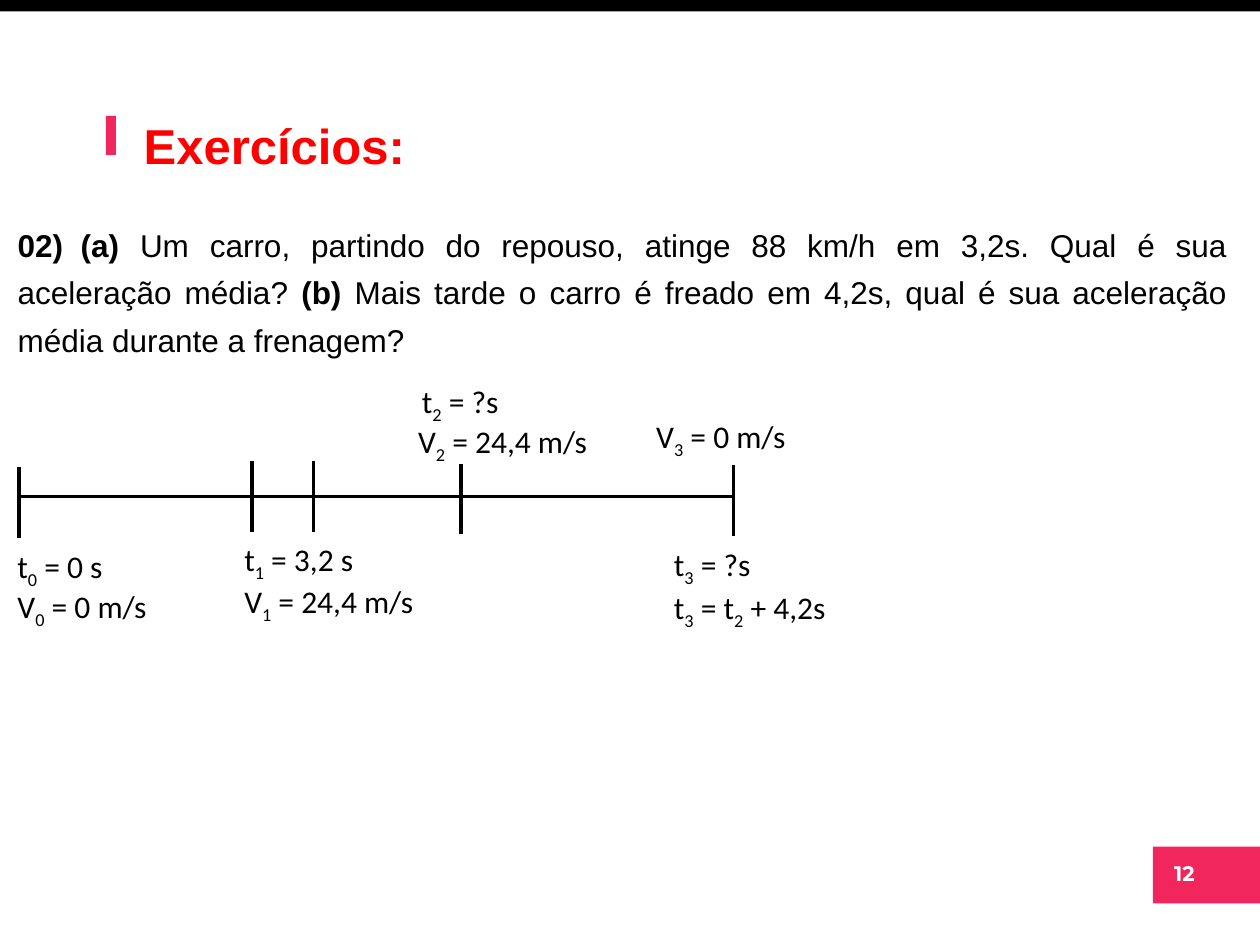
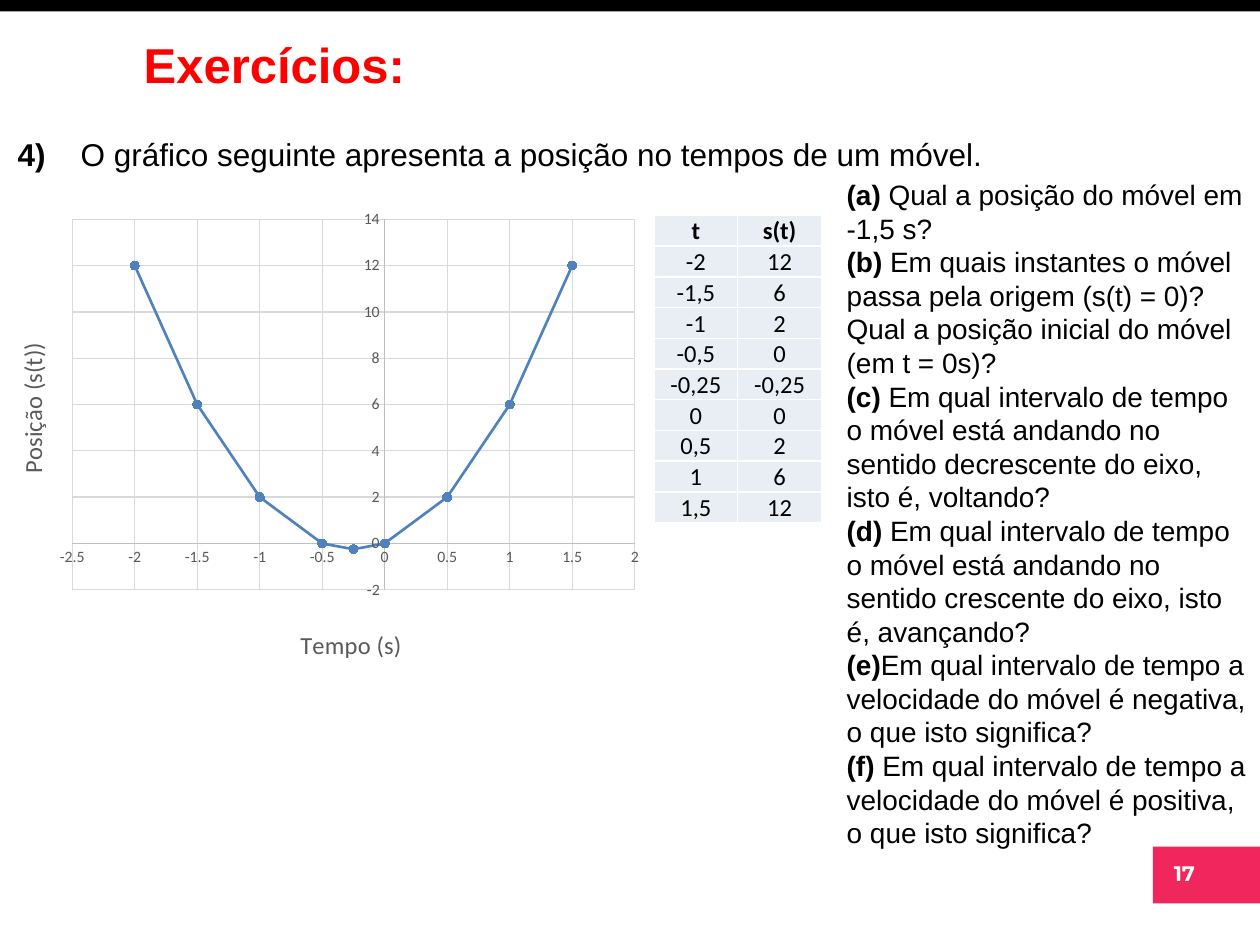
from lxml import etree
from pptx import Presentation
from pptx.chart.data import XyChartData
from pptx.dml.color import RGBColor
from pptx.enum.chart import XL_CHART_TYPE, XL_MARKER_STYLE, XL_TICK_MARK
from pptx.enum.shapes import MSO_CONNECTOR, MSO_SHAPE
from pptx.enum.text import MSO_ANCHOR, MSO_AUTO_SIZE, PP_ALIGN
from pptx.oxml.ns import qn
from pptx.util import Inches, Pt

SCATTER = XL_CHART_TYPE.XY_SCATTER_SMOOTH
CIRCLE = XL_MARKER_STYLE.CIRCLE
NO_TICK = XL_TICK_MARK.NONE
STRAIGHT = MSO_CONNECTOR.STRAIGHT
RECTANGLE = MSO_SHAPE.RECTANGLE
TOP, BOTTOM = MSO_ANCHOR.TOP, MSO_ANCHOR.BOTTOM
NO_AUTOFIT = MSO_AUTO_SIZE.NONE
LEFT, CENTER, JUSTIFY = PP_ALIGN.LEFT, PP_ALIGN.CENTER, PP_ALIGN.JUSTIFY

COLORS = {
    "black": "000000", "white": "FFFFFF", "accent": "F0265D", "title": "FF0000",
    "curve": "4F81BD", "cell": "E9EDF4", "axis": "BFBFBF", "grid": "D9D9D9",
    "axis_text": "595959",
}
TITLE_FONT = BODY_FONT = "Arial"
LABEL_FONT = "Calibri"
NUMBER_FONT = "Montserrat"
LINE_SPACING = 1.25
TITLE_AND_CONTENT, TWO_CONTENT = 1, 3

STATEMENT_2 = [
    ("02)\t(a) ", True),
    ("Um carro, partindo do repouso, atinge 88 km/h em 3,2s. "
     "Qual é sua aceleração média? ", False),
    ("(b) ", True),
    ("Mais tarde o carro é freado em 4,2s, qual é sua aceleração média "
     "durante a frenagem?", False),
]
STATEMENT_4 = [
    ("4)", True),
    ("\tO gráfico seguinte apresenta a posição no tempos de um móvel.", False),
]
QUESTIONS = [
    ("(a)", " Qual a posição do móvel em -1,5 s?"),
    ("(b)", " Em quais instantes o móvel passa pela origem (s(t) = 0)?"),
    ("", "Qual a posição inicial do móvel (em t = 0s)?"),
    ("(c)", " Em qual intervalo de tempo o móvel está andando no sentido "
            "decrescente do eixo, isto é, voltando?"),
    ("(d)", " Em qual intervalo de tempo o móvel está andando no sentido "
            "crescente do eixo, isto é, avançando?"),
    ("(e)", "Em qual intervalo de tempo a velocidade do móvel é negativa, "
            "o que isto significa?"),
    ("(f) ", "Em qual intervalo de tempo a velocidade do móvel é positiva, "
             "o que isto significa?"),
]
# Offset from the start of the time axis, top within the timeline.
INSTANTS = [(0, 0.73), (1.85, 0.68), (2.34, 0.68), (3.51, 0.7), (5.67, 0.71)]
# Left, top, width and lines; an underscore lowers the next character.
INSTANT_LABELS = [
    (-0.11, 1.31, 0.9, ["t_0 = 0 s"]),
    (-0.11, 1.63, 1.29, ["V_0 = 0 m/s"]),
    (1.69, 1.26, 1.09, ["t_1 = 3,2 s"]),
    (1.69, 1.59, 1.61, ["V_1 = 24,4 m/s"]),
    (3.1, 0, 0.83, ["t_2 = ?s"]),
    (3.07, 0.32, 1.61, ["V_2 = 24,4 m/s"]),
    (4.96, 0.28, 1.25, ["V_3 = 0 m/s"]),
    (5.1, 1.3, 1.44, ["t_3 = ?s", "t_3 = t_2 + 4,2s"]),
]
POSITIONS = [(-2, 12), (-1.5, 6), (-1, 2), (-0.5, 0), (-0.25, -0.25),
             (0, 0), (0.5, 2), (1, 6), (1.5, 12)]


def color(name):
    return RGBColor.from_string(COLORS[name])


def place(shape, left, top, width, height):
    shape.left, shape.top = Inches(left), Inches(top)
    shape.width, shape.height = Inches(width), Inches(height)


def set_font(font, name, size, color_name, bold=None):
    font.name, font.size, font.bold = name, Pt(size), bold
    font.color.rgb = color(color_name)


def format_line(line, color_name, width):
    line.color.rgb = color(color_name)
    line.width = Pt(width)


def add_block(slide, left, top, width, height, color_name):
    block = slide.shapes.add_shape(
        RECTANGLE, Inches(left), Inches(top), Inches(width), Inches(height))
    block.shadow.inherit = False
    block.fill.solid()
    block.fill.fore_color.rgb = color(color_name)
    block.line.fill.background()


def add_label(slide, left, top, width, height):
    label = slide.shapes.add_textbox(
        Inches(left), Inches(top), Inches(width), Inches(height))
    label.text_frame.word_wrap = False
    return label.text_frame


def prepare_frame(placeholder):
    frame = placeholder.text_frame
    frame.auto_size = NO_AUTOFIT
    frame.word_wrap = True
    frame.vertical_anchor = TOP
    frame.margin_bottom = 0
    return frame


def fill_body(placeholder, paragraphs, size, alignment, spacing):
    """Write paragraphs, each a list of (text, bold) runs, without bullets."""
    frame = prepare_frame(placeholder)
    for index, runs in enumerate(paragraphs):
        paragraph = frame.add_paragraph() if index else frame.paragraphs[0]
        properties = paragraph._p.get_or_add_pPr()
        properties.set("marL", "0")
        properties.set("indent", "0")
        etree.SubElement(properties, qn("a:buNone"))
        tabs = etree.SubElement(properties, qn("a:tabLst"))
        etree.SubElement(tabs, qn("a:tab"), pos=str(Inches(1)), algn="l")
        paragraph.alignment = alignment
        paragraph.line_spacing = spacing
        paragraph.space_before = Pt(0)
        set_font(paragraph.font, BODY_FONT, size, "black")
        for text, bold in runs:
            run = paragraph.add_run()
            run.text = text
            run.font.bold = bold


def add_exercise(presentation, layout, number, title_top, statement_top,
                 statement, statement_height):
    """Add a slide with the shared band, number, title and statement."""
    slide = presentation.slides.add_slide(presentation.slide_layouts[layout])
    add_block(slide, 0, 0, 10, 0.09, "black")
    add_block(slide, 9.15, 6.72, 0.85, 0.45, "accent")
    paragraph = add_label(slide, 9.16, 6.78, 0.48, 0.3).paragraphs[0]
    paragraph.text = number
    paragraph.alignment = CENTER
    set_font(paragraph.font, NUMBER_FONT, 12, "white", True)

    title = slide.shapes.title
    place(title, 1.04, title_top, 8.8, 0.65)
    paragraph = prepare_frame(title).paragraphs[0]
    paragraph.text = "Exercícios:"
    paragraph.alignment = LEFT
    paragraph.line_spacing = LINE_SPACING
    set_font(paragraph.font, TITLE_FONT, 28, "title", True)

    body = slide.placeholders[1]
    place(body, 0.04, statement_top, 9.8, statement_height)
    fill_body(body, [statement], 18, JUSTIFY, LINE_SPACING)
    return slide


def add_line(slide, start_x, start_y, end_x, end_y):
    line = slide.shapes.add_connector(
        STRAIGHT, Inches(start_x), Inches(start_y), Inches(end_x), Inches(end_y))
    format_line(line.line, "black", 2)
    etree.SubElement(line._element.spPr, qn("a:effectLst"))


def write_subscripts(paragraph, text):
    first, *rest = text.split("_")
    paragraph.add_run().text = first
    for piece in rest:
        subscript = paragraph.add_run()
        subscript.text = piece[0]
        subscript._r.get_or_add_rPr().set("baseline", "-25000")
        paragraph.add_run().text = piece[1:]


def draw_timeline(slide, left, top):
    axis_y = top + 0.96
    add_line(slide, left, axis_y, left + INSTANTS[-1][0], axis_y)
    for x, y in INSTANTS:
        add_line(slide, left + x, top + y, left + x, top + y + 0.56)
    for x, y, width, lines in INSTANT_LABELS:
        frame = add_label(slide, left + x, top + y, width,
                          0.09 + 0.31 * len(lines))
        for index, text in enumerate(lines):
            paragraph = frame.add_paragraph() if index else frame.paragraphs[0]
            set_font(paragraph.font, LABEL_FONT, 18, "black")
            write_subscripts(paragraph, text)


def set_layout(parent, **fractions):
    """Fix a chart part at fractions of the chart area."""
    layout = parent.find(qn("c:layout"))
    if layout is None:
        layout = etree.Element(qn("c:layout"))
        parent.insert(0 if parent.find(qn("c:tx")) is None else 1, layout)
    manual = etree.SubElement(layout, qn("c:manualLayout"))
    if "w" in fractions:
        etree.SubElement(manual, qn("c:layoutTarget"), val="inner")
    for side in ("x", "y"):
        etree.SubElement(manual, qn(f"c:{side}Mode"), val="edge")
    for side, value in fractions.items():
        etree.SubElement(manual, qn(f"c:{side}"), val=str(value))


def format_axis(axis, title, minimum, maximum, unit, title_x, title_y):
    axis.minimum_scale, axis.maximum_scale = minimum, maximum
    axis.major_unit = unit
    axis.major_tick_mark = axis.minor_tick_mark = NO_TICK
    axis.has_major_gridlines = True
    format_line(axis.major_gridlines.format.line, "grid", 0.75)
    format_line(axis.format.line, "axis", 0.75)
    set_font(axis.tick_labels.font, LABEL_FONT, 9, "axis_text")
    frame = axis.axis_title.text_frame
    frame.text = title
    set_font(frame.paragraphs[0].font, LABEL_FONT, 14, "axis_text", False)
    set_layout(axis.axis_title._element, x=title_x, y=title_y)
    return frame


def add_position_chart(slide, left, top, width, height):
    data = XyChartData()
    points = data.add_series("Series 1")
    for time, position in POSITIONS:
        points.add_data_point(time, position)
    chart = slide.shapes.add_chart(
        SCATTER, Inches(left), Inches(top), Inches(width), Inches(height),
        data).chart
    chart.has_legend = chart.has_title = False
    set_font(chart.font, LABEL_FONT, 10, "black")
    chart.plots[0].vary_by_categories = False
    set_layout(chart._chartSpace.chart.plotArea, x=0.14, y=0.04, w=0.83, h=0.78)
    format_axis(chart.category_axis, "Tempo (s)", -2.5, 2, 0.5, 0.47, 0.89)
    frame = format_axis(chart.value_axis, "Posição (s(t))", -2, 14, 2, 0.05, 0.29)
    frame._txBody.bodyPr.set("rot", "-5400000")
    frame._txBody.bodyPr.set("vert", "horz")

    series = chart.plots[0].series[0]
    series.smooth = True
    format_line(series.format.line, "curve", 1.5)
    marker = series.marker
    marker.style, marker.size = CIRCLE, 5
    marker.format.fill.solid()
    marker.format.fill.fore_color.rgb = color("curve")
    format_line(marker.format.line, "curve", 0.75)


def format_cell(cell, text, bold):
    properties = cell._tc.get_or_add_tcPr()
    for side in ("lnL", "lnR", "lnT", "lnB"):
        border = etree.SubElement(properties, qn(f"a:{side}"), w=str(Pt(1)))
        fill = etree.SubElement(border, qn("a:solidFill"))
        etree.SubElement(fill, qn("a:srgbClr"), val=COLORS["white"])
    cell.fill.solid()
    cell.fill.fore_color.rgb = color("cell")
    cell.margin_left = cell.margin_right = cell.margin_top = Inches(0.01)
    cell.margin_bottom = 0
    cell.vertical_anchor = BOTTOM
    paragraph = cell.text_frame.paragraphs[0]
    paragraph.text = text
    paragraph.alignment = CENTER
    set_font(paragraph.font, LABEL_FONT, 14, "black", bold)


def add_position_table(slide, left, top, width, height):
    rows = [("t", "s(t)")] + [
        [str(value).replace(".", ",") for value in pair] for pair in POSITIONS]
    table = slide.shapes.add_table(
        len(rows), 2, Inches(left), Inches(top), Inches(width),
        Inches(height)).table
    table.first_row = table.horz_banding = False
    for row_index, row in enumerate(rows):
        for column_index, text in enumerate(row):
            format_cell(table.cell(row_index, column_index), text, row_index == 0)


def build_acceleration_slide(presentation):
    slide = add_exercise(presentation, TITLE_AND_CONTENT, "12", 0.75, 1.67,
                         STATEMENT_2, 1.15)
    add_block(slide, 0.84, 0.92, 0.08, 0.31, "accent")
    draw_timeline(slide, 0.15, 2.98)


def build_position_slide(presentation):
    slide = add_exercise(presentation, TWO_CONTENT, "17", 0.11, 0.95,
                         STATEMENT_4, 0.41)
    add_position_chart(slide, -0.18, 1.59, 5.38, 3.77)
    add_position_table(slide, 5.19, 1.71, 1.33, 2.44)
    questions = slide.placeholders[2]
    place(questions, 6.62, 1.36, 3.38, 5.49)
    runs = [[(part, bold) for part, bold in ((letter, True), (text, False)) if part]
            for letter, text in QUESTIONS]
    fill_body(questions, runs, 16, LEFT, 1)


def main():
    presentation = Presentation()
    presentation.slide_width, presentation.slide_height = Inches(10), Inches(7.5)
    build_acceleration_slide(presentation)
    build_position_slide(presentation)
    presentation.save("out.pptx")


if __name__ == "__main__":
    main()
